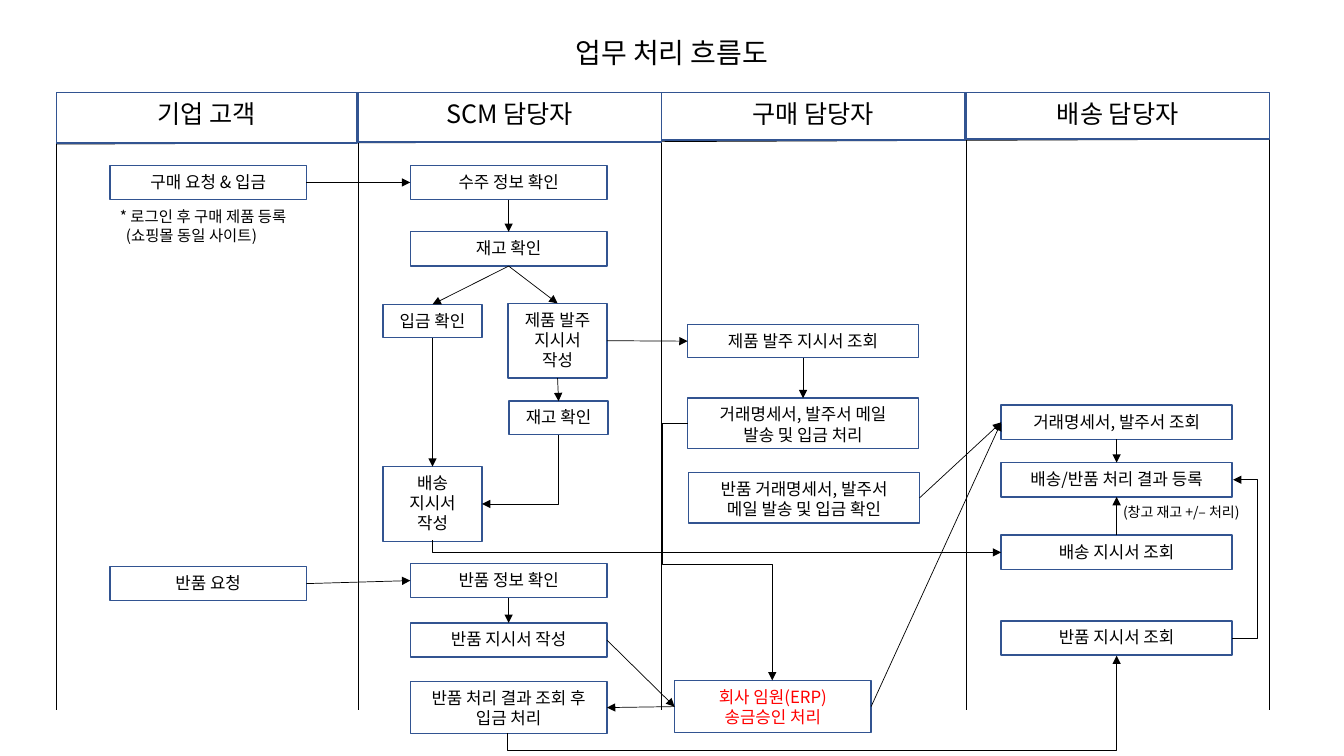
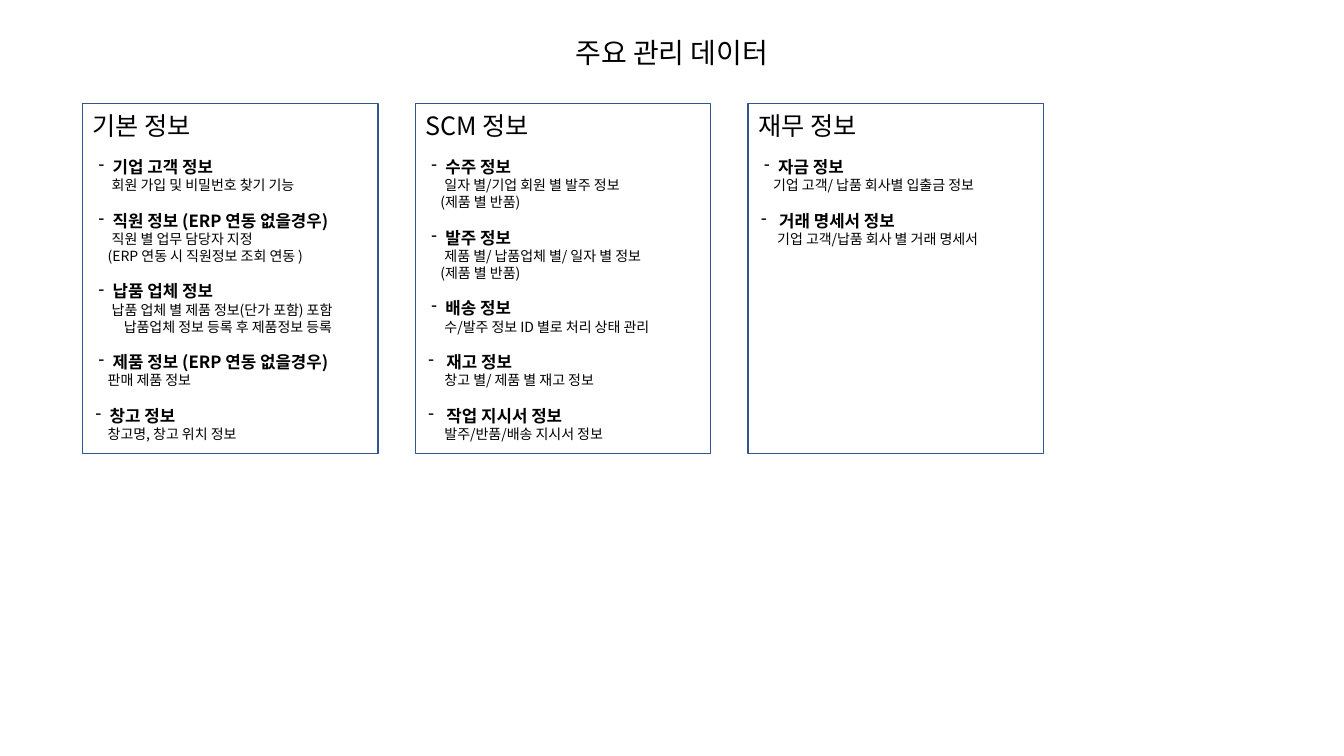
import dataclasses

import lxml.etree
import pptx
import pptx.dml.color
import pptx.enum.shapes
import pptx.enum.text
import pptx.oxml.ns
import pptx.util

SCALE = 9144
SHAPES = pptx.enum.shapes.MSO_SHAPE
CONNECTORS = pptx.enum.shapes.MSO_CONNECTOR
ALIGN = pptx.enum.text.PP_ALIGN
QN = pptx.oxml.ns.qn


@dataclasses.dataclass(frozen=True)
class Theme:
    font: str = "Noto Sans CJK KR"
    ink: str = "000000"
    border: str = "325491"
    alert: str = "FF0000"
    title: int = 20
    heading: int = 18
    body: int = 12
    note: int = 11
    detail: int = 10
    leading: float = 1.2
    border_width: float = 1
    arrow_width: float = 0.5


@dataclasses.dataclass(frozen=True)
class Line:
    text: str
    size: int
    bold: bool = False
    color: str = Theme.ink
    left: int = 0
    bullet: int = 0
    before: int = 0


THEME = Theme()
TITLE_BOX = (0, 29, 1333, 44)
FLOW_BOX = (56, 92, 1203, 612)
CARD_BOX = (82, 103, 293, 347)
CARD_STEP = 330

LANES = [
    ("기업 고객", 0, 298, 50),
    ("SCM 담당자", 299, 301, 49),
    ("구매 담당자", 600, 301, 47),
    ("배송 담당자", 902, 301, 46),
]

STEPS = {
    "order": (0, 53, 72, 195, 34, "구매 요청 & 입금"),
    "return": (0, 53, 470, 195, 34, "반품 요청"),
    "order_check": (1, 52, 72, 195, 34, "수주 정보 확인"),
    "stock_check": (1, 52, 138, 195, 34, "재고 확인"),
    "purchase_order": (1, 149, 209, 98, 74, "제품 발주\n지시서\n작성"),
    "payment_check": (1, 25, 210, 98, 33, "입금 확인"),
    "shipping_order": (1, 25, 371, 98, 74, "배송\n지시서\n작성"),
    "stock_recheck": (1, 150, 306, 98, 33, "재고 확인"),
    "return_check": (1, 52, 467, 195, 34, "반품 정보 확인"),
    "return_order": (1, 52, 526, 195, 34, "반품 지시서 작성"),
    "refund": (1, 52, 584, 195, 52, "반품 처리 결과 조회 후\n입금 처리"),
    "purchase_view": (2, 26, 230, 229, 33, "제품 발주 지시서 조회"),
    "purchase_mail": (2, 26, 303, 229, 50, "거래명세서, 발주서 메일\n발송 및 입금 처리"),
    "return_mail": (2, 27, 377, 229, 50, "반품 거래명세서, 발주서\n메일 발송 및 입금 확인"),
    "approval": (2, 13, 583, 195, 52, "회사 임원(ERP)\n송금승인 처리"),
    "document_view": (3, 35, 310, 229, 34, "거래명세서, 발주서 조회"),
    "result_entry": (3, 35, 367, 229, 34, "배송/반품 처리 결과 등록"),
    "shipping_view": (3, 35, 439, 229, 34, "배송 지시서 조회"),
    "return_view": (3, 35, 524, 229, 34, "반품 지시서 조회"),
}

TOP, LEFT, BOTTOM, RIGHT = range(4)
ARROWS = [
    ("order", RIGHT, "order_check", LEFT),
    ("order_check", BOTTOM, "stock_check", TOP),
    ("stock_check", BOTTOM, "purchase_order", TOP),
    ("stock_check", BOTTOM, "payment_check", TOP),
    ("payment_check", BOTTOM, "shipping_order", TOP),
    ("purchase_order", RIGHT, "purchase_view", LEFT),
    ("purchase_order", BOTTOM, "stock_recheck", TOP),
    ("purchase_view", BOTTOM, "purchase_mail", TOP),
    ("approval", RIGHT, "document_view", LEFT),
    ("return_mail", RIGHT, "document_view", LEFT),
    ("document_view", BOTTOM, "result_entry", TOP),
    ("shipping_view", TOP, "result_entry", BOTTOM),
    ("return", RIGHT, "return_check", LEFT),
    ("return_check", BOTTOM, "return_order", TOP),
    ("return_order", RIGHT, "approval", LEFT),
    ("approval", LEFT, "refund", RIGHT),
]

ELBOWS = [
    ((426, 336, 68, 76), 90, "", "bentConnector2", []),
    ((649, 168, 12, 564), 270, "h", "bentConnector2", []),
    ((1166, 384, 1, 157), 0, "v", "bentConnector3", [25]),
    ((626, 328, 84, 255), 180, "hv", "bentConnector4", [-0.3, 0.55]),
    ((711, 295, 77, 604), 90, "hv", "bentConnector3", [-0.22]),
]


def heading(text, bullet=6, left=20):
    return Line(text, THEME.body, bold=True, left=left, bullet=bullet, before=12)


def detail(text, left=19):
    return Line(text, THEME.detail, left=left)


CARDS = [
    ("기본 정보", [
        heading("기업 고객 정보"),
        detail("회원 가입 및 비밀번호 찾기 기능"),
        heading("직원 정보 (ERP 연동 없을경우)"),
        detail("직원 별 업무 담당자 지정"),
        detail("(ERP 연동 시 직원정보 조회 연동 )", 15),
        heading("납품 업체 정보"),
        detail("납품 업체 별 제품 정보(단가 포함) 포함"),
        detail("납품업체 정보 등록 후 제품정보 등록", 31),
        heading("제품 정보 (ERP 연동 없을경우)"),
        detail("판매 제품 정보", 15),
        heading("창고 정보", 3, 17),
        detail("창고명, 창고 위치 정보", 15),
    ]),
    ("SCM 정보", [
        heading("수주 정보"),
        detail("일자 별/기업 회원 별 발주 정보"),
        detail("(제품 별 반품)", 15),
        heading("발주 정보"),
        detail("제품 별/ 납품업체 별/ 일자 별 정보"),
        detail("(제품 별 반품)", 15),
        heading("배송 정보"),
        detail("수/발주 정보 ID 별로 처리 상태 관리"),
        heading("재고 정보", 3, 21),
        detail("창고 별/ 제품 별 재고 정보"),
        heading("작업 지시서 정보", 3, 21),
        detail("발주/반품/배송 지시서 정보"),
    ]),
    ("재무 정보", [
        heading("자금 정보"),
        detail("기업 고객/ 납품 회사별 입출금 정보", 15),
        heading("거래 명세서 정보", 3, 21),
        detail("기업 고객/납품 회사 별 거래 명세서"),
    ]),
]


def px(*lengths):
    return [pptx.util.Emu(length * SCALE) for length in lengths]


def rgb(color):
    return pptx.dml.color.RGBColor.from_string(color)


def write(shape, lines, align=ALIGN.LEFT, wrap=True):
    frame = shape.text_frame
    frame.text = "\n".join(line.text for line in lines)
    frame.word_wrap = wrap
    frame.vertical_anchor = pptx.enum.text.MSO_ANCHOR.TOP
    frame.margin_left, frame.margin_right, frame.margin_top, frame.margin_bottom = px(10, 10, 6, 5)
    for para, line in zip(frame.paragraphs, lines):
        para.alignment = align
        para.line_spacing = pptx.util.Pt(line.size * THEME.leading)
        para.space_before = pptx.util.Pt(line.before)
        properties = para._p.get_or_add_pPr()
        properties.set("marL", str(line.left * SCALE))
        properties.set("indent", "0")
        if line.bullet:
            properties.set("indent", str((line.bullet - line.left) * SCALE))
            lxml.etree.SubElement(properties, QN("a:buChar")).set("char", "-")
        for span in para.runs:
            span.font.size = pptx.util.Pt(line.size)
            span.font.bold = line.bold
            span.font.color.rgb = rgb(line.color)
            span.font.name = THEME.font
            east_asian = lxml.etree.SubElement(span._r.get_or_add_rPr(), QN("a:ea"))
            east_asian.set("typeface", THEME.font)


def add_text(page, box, lines, align=ALIGN.LEFT, wrap=True):
    shape = page.shapes.add_textbox(*px(*box))
    write(shape, lines, align, wrap)


def add_box(page, box, lines, align=ALIGN.CENTER):
    shape = page.shapes.add_shape(SHAPES.RECTANGLE, *px(*box))
    shape.shadow.inherit = False
    shape.fill.background()
    shape.line.color.rgb = rgb(THEME.border)
    shape.line.width = pptx.util.Pt(THEME.border_width)
    write(shape, lines, align)
    return shape


def add_line(page, points, kind=CONNECTORS.STRAIGHT, arrow=False):
    line = page.shapes.add_connector(kind, *px(*points))
    line.line.color.rgb = rgb(THEME.ink)
    line.line.width = pptx.util.Pt(THEME.arrow_width)
    properties = line._element.spPr
    if arrow:
        tail = lxml.etree.SubElement(properties.find(QN("a:ln")), QN("a:tailEnd"))
        tail.set("type", "triangle")
    lxml.etree.SubElement(properties, QN("a:effectLst"))
    return line


def add_elbow(page, box, turn, flip, preset, bends):
    left, top, width, height = box
    begin_x, end_x = (left + width, left) if "h" in flip else (left, left + width)
    begin_y, end_y = (top + height, top) if "v" in flip else (top, top + height)
    elbow = add_line(page, (begin_x, begin_y, end_x, end_y), CONNECTORS.ELBOW, True)
    properties = elbow._element.spPr
    properties.find(QN("a:xfrm")).set("rot", str(turn * 60000))
    geometry = properties.find(QN("a:prstGeom"))
    geometry.set("prst", preset)
    for number, bend in enumerate(bends, 1):
        guide = lxml.etree.SubElement(geometry.find(QN("a:avLst")), QN("a:gd"))
        guide.set("name", f"adj{number}")
        guide.set("fmla", f"val {round(bend * 100000)}")


def add_page(deck, title):
    page = deck.slides.add_slide(deck.slide_layouts[6])
    add_text(page, TITLE_BOX, [Line(title, THEME.title)], ALIGN.CENTER)
    return page


def draw_lanes(page, box):
    left, top, width, height = box
    add_line(page, (left, top + 51, left + width, top + 46))
    for edge in [lane[1] for lane in LANES] + [width]:
        add_line(page, (left + edge, top + 2, left + edge, top + height))
    for name, offset, lane_width, lane_height in LANES:
        add_box(page, (left + offset, top, lane_width, lane_height), [Line(name, THEME.heading)])


def draw_flow(page, box):
    left, top = box[:2]
    boxes = {}
    for key, (lane, x, y, width, height, text) in STEPS.items():
        color = THEME.alert if key == "approval" else THEME.ink
        lines = [Line(part, THEME.body, color=color) for part in text.split("\n")]
        boxes[key] = add_box(page, (left + LANES[lane][1] + x, top + y, width, height), lines)
    for source, source_side, target, target_side in ARROWS:
        arrow = add_line(page, (0, 0, 0, 0), arrow=True)
        arrow.begin_connect(boxes[source], source_side)
        arrow.end_connect(boxes[target], target_side)
    for (x, y, width, height), *bend in ELBOWS:
        add_elbow(page, (left + x, top + y, width, height), *bend)
    add_text(page, (left + 53, top + 108, 210, 47), [
        Line("* 로그인 후 구매 제품 등록", THEME.note),
        Line("(쇼핑몰 동일 사이트)", THEME.note, left=6),
    ])
    add_text(page, (left + 1048, top + 402, 150, 27),
             [Line("(창고 재고 +/– 처리)", THEME.detail)], wrap=False)


def draw_cards(page, box):
    left, top, width, height = box
    for index, (title, lines) in enumerate(CARDS):
        place = (left + index * CARD_STEP, top, width, height)
        add_box(page, place, [Line(title, THEME.heading)] + lines, ALIGN.LEFT)


def main():
    deck = pptx.Presentation()
    deck.slide_width, deck.slide_height = px(1333, 750)
    flow_page = add_page(deck, "업무 처리 흐름도")
    draw_lanes(flow_page, FLOW_BOX)
    draw_flow(flow_page, FLOW_BOX)
    draw_cards(add_page(deck, "주요 관리 데이터"), CARD_BOX)
    deck.save("out.pptx")


if __name__ == "__main__":
    main()
